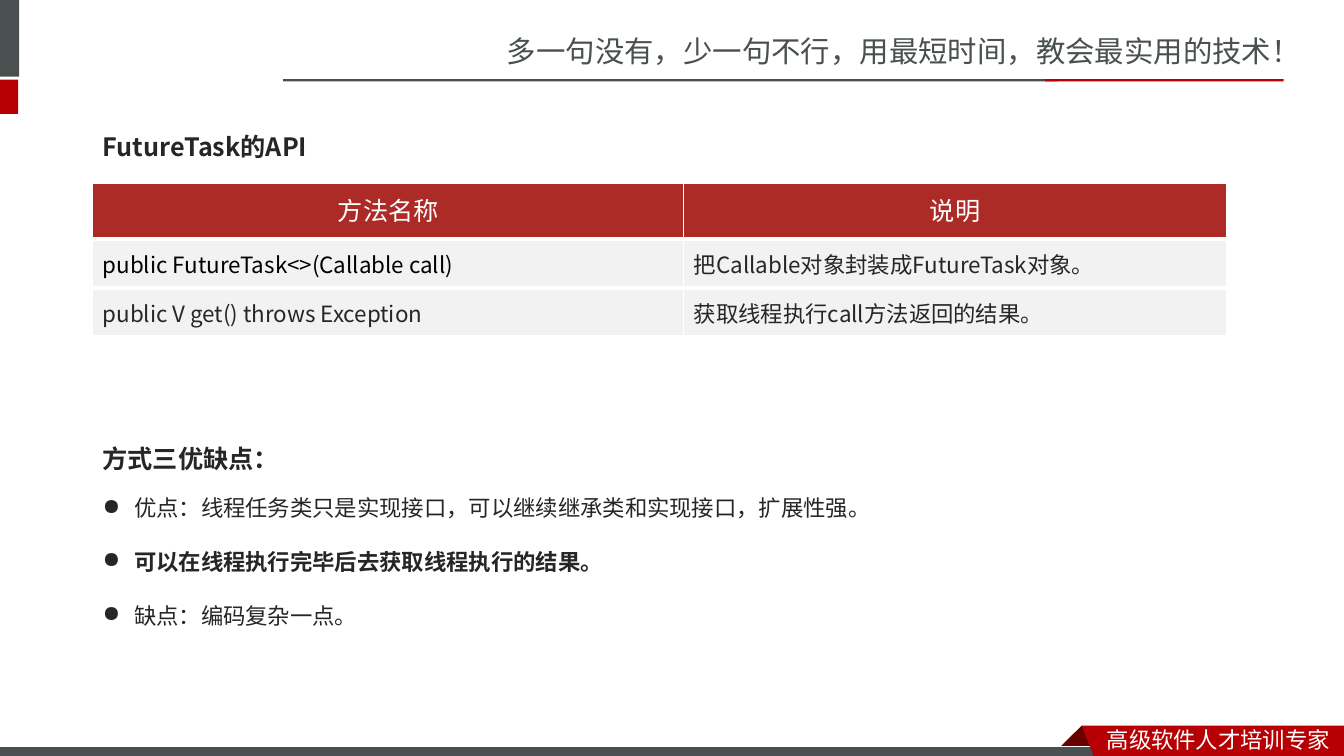
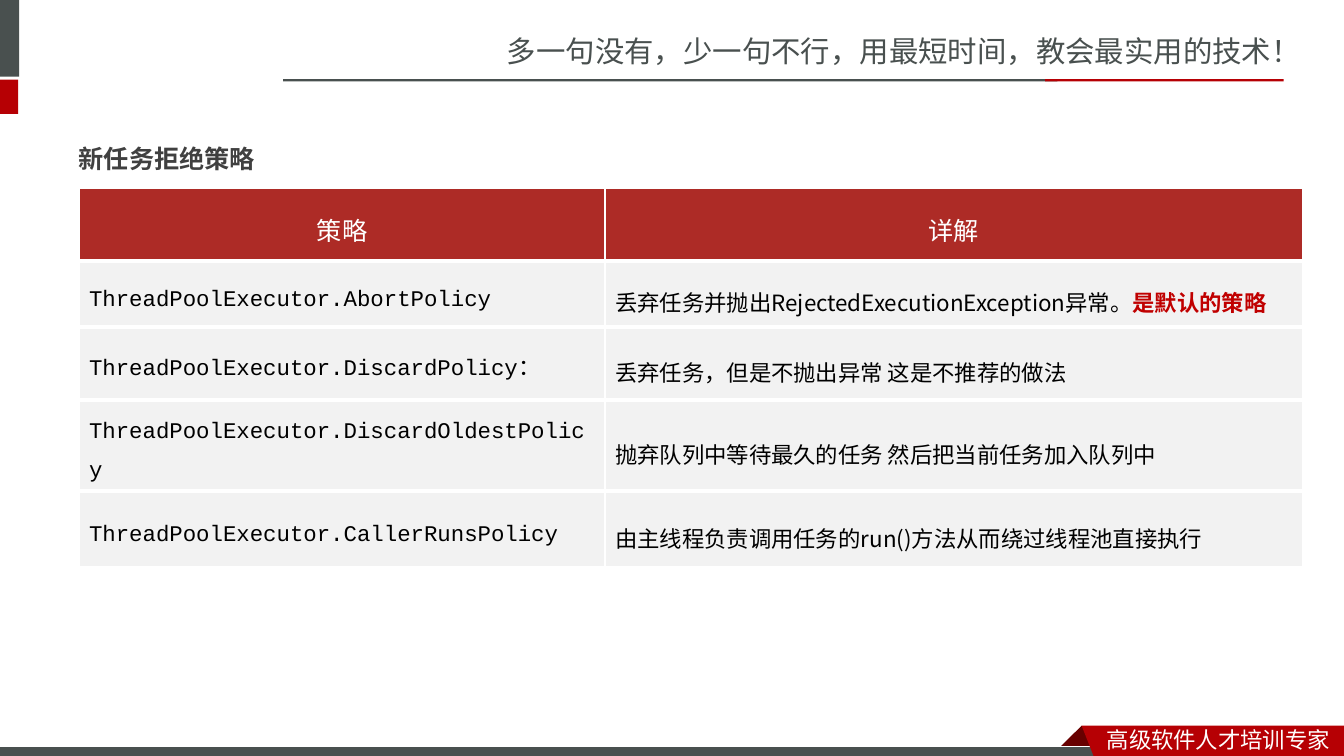
import dataclasses

import lxml.etree
import pptx
import pptx.dml.color
import pptx.enum.shapes
import pptx.enum.text
import pptx.oxml.ns
import pptx.util

Pt = pptx.util.Pt
ALIGN = pptx.enum.text.PP_ALIGN
ANCHOR = pptx.enum.text.MSO_ANCHOR


@dataclasses.dataclass(frozen=True)
class Theme:
    gray: str = "49504F"
    red: str = "B60004"
    dark_red: str = "680000"
    header_red: str = "AD2B26"
    accent_red: str = "C00000"
    cell: str = "F2F2F2"
    ink: str = "262626"
    soft_ink: str = "404040"
    black: str = "000000"
    white: str = "FFFFFF"
    sans: str = "Noto Sans CJK SC"
    heading_font: str = "Noto Sans CJK JP"
    header_font: str = "Roboto"
    code: str = "Courier New"
    slogan_size: float = 21
    heading_size: float = 18
    body_size: float = 16


THEME = Theme()

SLOGAN = ("多一句没有，少一句不行，用最短时间，教会最实用的技术！", (355, 20, 605, 34))
FOOTER = ("高级软件人才培训专家", (783.4, 514.8, 176.4, 27))

BARS = [
    ((-4.3, 0, 18, 54.7), THEME.gray),
    ((-4.3, 56.9, 17.3, 24.5), THEME.red),
    ((202.3, 56.6, 553, 1.6), THEME.gray),
    ((746.6, 56.6, 170.4, 1.6), THEME.red),
]
FOOTER_BAR = (-0.7, 533.5, 792, 8.6)
FOOTER_FOLD = [(772.6, 518.4), (788.4, 534.2), (787.7, 535), (757.4, 535), (756.7, 534.2)]
FOOTER_BANNER = [(772.6, 518.4), (960, 518.4), (960, 543), (782, 542.2)]

API = {
    "heading": "FutureTask的API",
    "box": (66.2, 68.4, 480, 45.4),
    "spacing": 2,
    "color": THEME.ink,
    "table": {
        "origin": (66.2, 129.8),
        "columns": [422.3, 387.4],
        "heights": [41, 35, 35],
        "header": ["方法名称", "说明"],
        "header_format": {"font": THEME.heading_font, "spacing": Pt(24)},
        "rows": [
            [
                [("public FutureTask<>(Callable call)", {"color": THEME.black})],
                [("把Callable对象封装成FutureTask对象。", {})],
            ],
            [
                [("public V get() throws Exception", {})],
                [("获取线程执行call方法返回的结果。", {})],
            ],
        ],
        "column_formats": [{"font": THEME.heading_font, "color": THEME.ink}] * 2,
    },
}
REVIEW_HEADING = ("方式三优缺点：", (66.2, 291.6, 545, 45.4))
REVIEW_BOX = (66.2, 330.5, 685, 119)
REVIEW = [
    ("优点：线程任务类只是实现接口，可以继续继承类和实现接口，扩展性强。", False),
    ("可以在线程执行完毕后去获取线程执行的结果。", True),
    ("缺点：编码复杂一点。", False),
]

POLICIES = {
    "heading": "新任务拒绝策略",
    "box": (49, 87.8, 368.6, 36.7),
    "spacing": 1.5,
    "color": THEME.soft_ink,
    "table": {
        "origin": (56.4, 134),
        "columns": [375.8, 498.4],
        "heights": [52.6, 46.8, 52.6, 49, 54.7],
        "header": ["策略", "详解"],
        "header_format": {"font": THEME.header_font, "spacing": 1.5},
        "rows": [
            [
                [("ThreadPoolExecutor.AbortPolicy", {})],
                [
                    ("丢弃任务并抛出RejectedExecutionException异常。", {}),
                    ("是默认的策略", {"color": THEME.accent_red, "bold": True}),
                ],
            ],
            [
                [("ThreadPoolExecutor.DiscardPolicy：", {})],
                [("丢弃任务，但是不抛出异常 这是不推荐的做法", {})],
            ],
            [
                [("ThreadPoolExecutor.DiscardOldestPolicy", {})],
                [("抛弃队列中等待最久的任务 然后把当前任务加入队列中", {})],
            ],
            [
                [("ThreadPoolExecutor.CallerRunsPolicy", {})],
                [("由主线程负责调用任务的run()方法从而绕过线程池直接执行", {})],
            ],
        ],
        "column_formats": [
            {"font": THEME.code, "color": THEME.black, "spacing": 1.5},
            {"font": THEME.sans, "color": THEME.black, "spacing": 1.5},
        ],
    },
}


def rgb(color):
    return pptx.dml.color.RGBColor.from_string(color)


def points(values):
    return [Pt(value) for value in values]


def add_element(parent, tag, **attributes):
    element = lxml.etree.SubElement(parent, pptx.oxml.ns.qn(tag))
    for name, value in attributes.items():
        element.set(name, str(value))
    return element


def write(paragraph, text, *, size=THEME.body_size, font=THEME.heading_font, color=THEME.ink,
          bold=False, align=ALIGN.LEFT, spacing=None):
    paragraph.alignment = align
    if spacing is not None:
        paragraph.line_spacing = spacing
    run = paragraph.add_run()
    run.text = text
    run.font.size = Pt(size)
    run.font.bold = bold
    run.font.color.rgb = rgb(color)
    run.font.name = font
    add_element(run._r.get_or_add_rPr(), "a:ea", typeface=font)


def add_text_box(slide, box):
    text_frame = slide.shapes.add_textbox(*points(box)).text_frame
    text_frame.word_wrap = True
    return text_frame


def paint(shape, color, outline=None):
    shape.shadow.inherit = False
    shape.fill.solid()
    shape.fill.fore_color.rgb = rgb(color)
    if outline:
        shape.line.color.rgb = rgb(outline)
        shape.line.width = Pt(0.75)
    else:
        shape.line.fill.background()


def add_bar(slide, box, color, outline=None):
    rectangle = pptx.enum.shapes.MSO_SHAPE.RECTANGLE
    paint(slide.shapes.add_shape(rectangle, *points(box)), color, outline)


def add_polygon(slide, corners, color):
    start, *others = [points(corner) for corner in corners]
    builder = slide.shapes.build_freeform(*start)
    builder.add_line_segments(others, close=True)
    paint(builder.convert_to_shape(), color)


def add_frame(slide):
    slogan, slogan_box = SLOGAN
    write(add_text_box(slide, slogan_box).paragraphs[0], slogan,
          size=THEME.slogan_size, font=THEME.sans, color=THEME.gray)
    for box, color in BARS:
        add_bar(slide, box, color)
    add_polygon(slide, FOOTER_FOLD, THEME.dark_red)
    add_bar(slide, FOOTER_BAR, THEME.gray, THEME.white)
    add_polygon(slide, FOOTER_BANNER, THEME.red)
    footer, footer_box = FOOTER
    write(add_text_box(slide, footer_box).paragraphs[0], footer,
          font=THEME.sans, color=THEME.white)


def set_title(slide, content):
    title = slide.shapes.title
    title.left, title.top, title.width, title.height = points(content["box"])
    text_frame = title.text_frame
    text_frame.word_wrap = True
    text_frame.auto_size = pptx.enum.text.MSO_AUTO_SIZE.NONE
    text_frame.vertical_anchor = ANCHOR.TOP
    write(text_frame.paragraphs[0], content["heading"], size=THEME.heading_size,
          color=content["color"], bold=True, spacing=content["spacing"])


def style_cell(cell, color):
    properties = cell._tc.get_or_add_tcPr()
    for side, width in (("L", 1), ("R", 1), ("T", 3), ("B", 3)):
        line = add_element(properties, f"a:ln{side}", w=Pt(width))
        add_element(add_element(line, "a:solidFill"), "a:srgbClr", val=THEME.white)
    cell.fill.solid()
    cell.fill.fore_color.rgb = rgb(color)
    cell.vertical_anchor = ANCHOR.MIDDLE


def add_table(slide, content):
    columns, heights = content["columns"], content["heights"]
    box = (*content["origin"], sum(columns), sum(heights))
    table = slide.shapes.add_table(len(heights), len(columns), *points(box)).table
    table.horz_banding = False
    for column, width in zip(table.columns, columns):
        column.width = Pt(width)
    for row, height in zip(table.rows, heights):
        row.height = Pt(height)
    for index, label in enumerate(content["header"]):
        cell = table.cell(0, index)
        style_cell(cell, THEME.header_red)
        write(cell.text_frame.paragraphs[0], label, size=THEME.heading_size,
              color=THEME.white, align=ALIGN.CENTER, **content["header_format"])
    for row_index, row in enumerate(content["rows"], 1):
        for column_index, runs in enumerate(row):
            cell = table.cell(row_index, column_index)
            style_cell(cell, THEME.cell)
            for text, changes in runs:
                style = {**content["column_formats"][column_index], **changes}
                write(cell.text_frame.paragraphs[0], text, **style)


def add_review(slide):
    heading, heading_box = REVIEW_HEADING
    write(add_text_box(slide, heading_box).paragraphs[0], heading,
          size=THEME.heading_size, bold=True, spacing=2)
    text_frame = add_text_box(slide, REVIEW_BOX)
    for index, (text, bold) in enumerate(REVIEW):
        paragraph = text_frame.add_paragraph() if index else text_frame.paragraphs[0]
        write(paragraph, text, bold=bold, spacing=2)
        properties = paragraph._p.get_or_add_pPr()
        properties.set("marL", str(Pt(22.5)))
        properties.set("indent", str(-Pt(22.5)))
        add_element(properties, "a:buChar", char="●")


def add_content_slide(presentation, content):
    slide = presentation.slides.add_slide(presentation.slide_layouts[5])
    add_frame(slide)
    set_title(slide, content)
    add_table(slide, content["table"])
    return slide


def main():
    presentation = pptx.Presentation()
    presentation.slide_width, presentation.slide_height = Pt(960), Pt(540)
    add_review(add_content_slide(presentation, API))
    add_content_slide(presentation, POLICIES)
    presentation.save("out.pptx")


if __name__ == "__main__":
    main()
